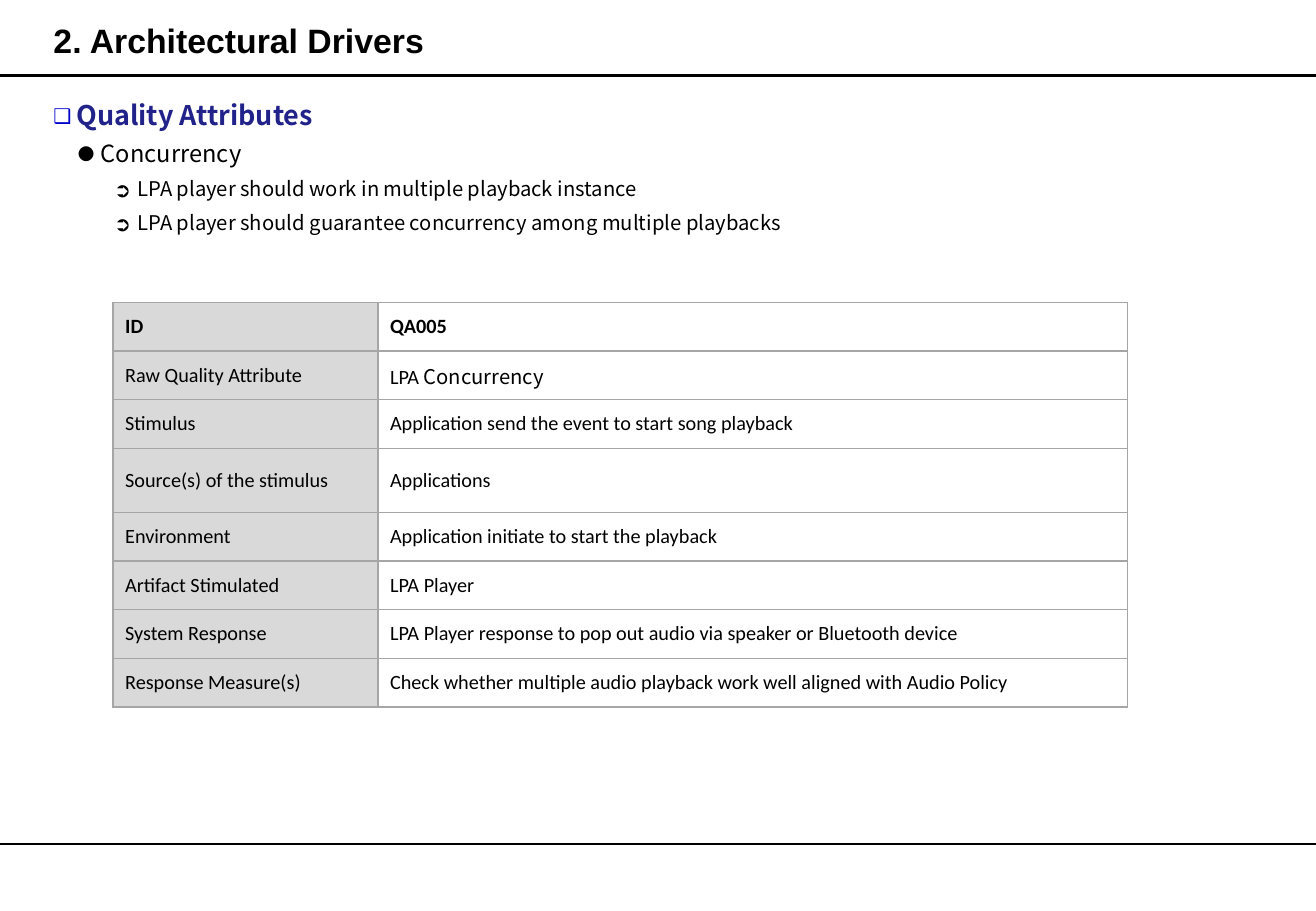
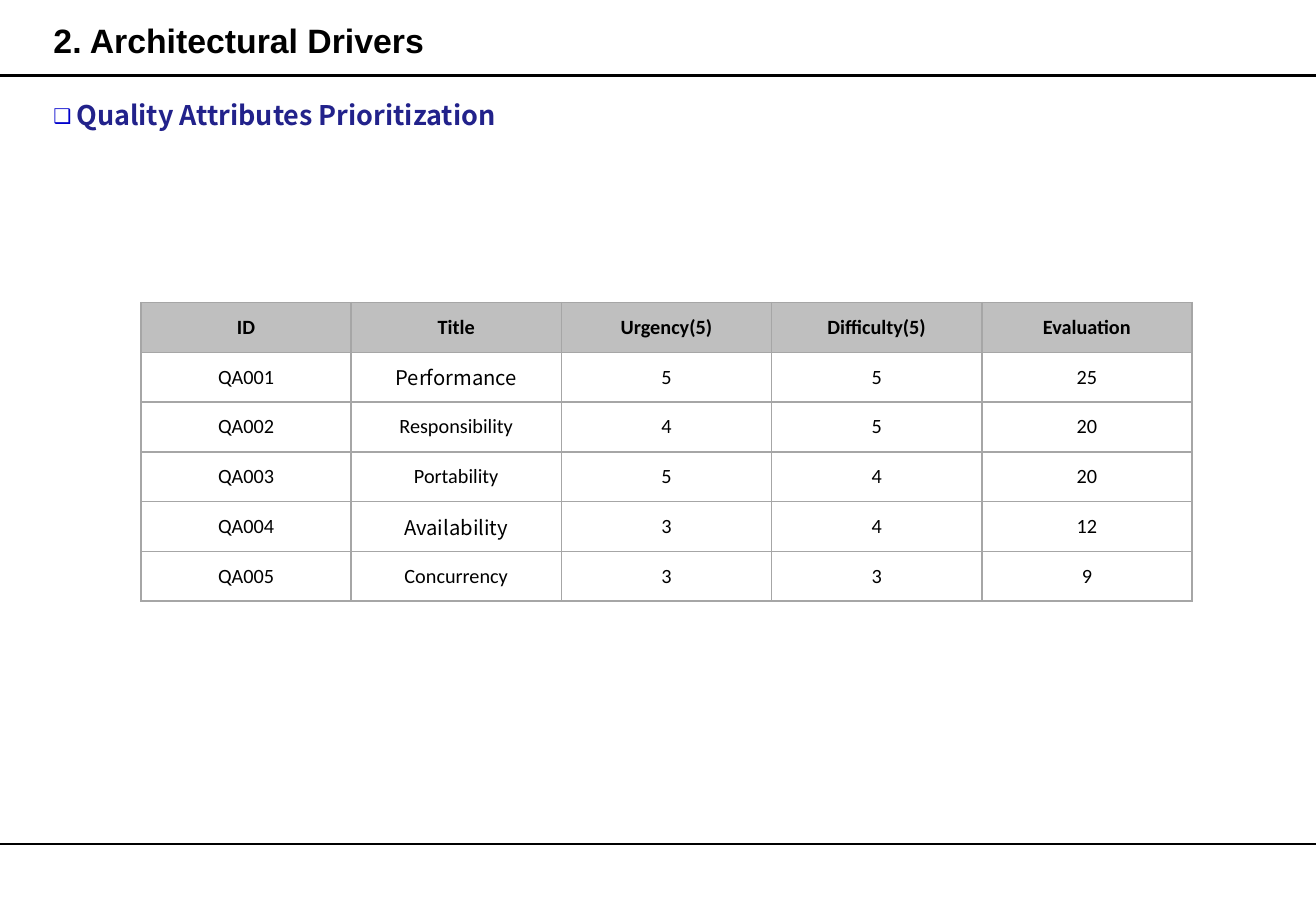
from dataclasses import dataclass

from lxml.etree import SubElement
from pptx import Presentation
from pptx.dml.color import RGBColor
from pptx.enum.shapes import MSO_CONNECTOR
from pptx.enum.text import MSO_ANCHOR, MSO_AUTO_SIZE, PP_ALIGN
from pptx.oxml.ns import qn
from pptx.util import Inches, Pt


@dataclass(frozen=True)
class Level:
    size: float
    bold: bool
    color: str
    indent: float
    spacing: float
    before: float
    bullet: str
    bullet_color: str
    bullet_percent: int


@dataclass(frozen=True)
class Theme:
    black: str = "000000"
    border: str = "A6A6A6"
    label_fill: str = "D9D9D9"
    header_fill: str = "BFBFBF"
    title_font: str = "Arial"
    list_font: str = "Noto Sans CJK KR"
    table_font: str = "Calibri"
    title_size: float = 20
    table_size: float = 12
    hanging: float = 0.19
    levels: tuple = (
        Level(16, True, "22228B", 0.19, 1.3, 6, "❑", "0000CC", 75),
        Level(14, False, "000000", 0.39, 1.1, 3, "●", "000000", 70),
        Level(12, False, "000000", 0.69, 1.25, 2, "➲", "000000", 100),
    )


def apply(target, values):
    for name, value in values.items():
        setattr(target, name, value)


def add_child(parent, tag, **attributes):
    return SubElement(parent, qn(tag), attributes)


class SlideBuilder:
    def __init__(self, deck, theme):
        self.deck = deck
        self.theme = theme
        self.page = None

    def start(self, title):
        self.page = self.deck.slides.add_slide(self.deck.slide_layouts[1])
        self.rule(6.95, 1)
        self.rule(0.62, 1.5)
        self.title(title)

    def rule(self, top, weight):
        line = self.page.shapes.add_connector(
            MSO_CONNECTOR.STRAIGHT, 0, Inches(top), self.deck.slide_width, Inches(top))
        line.line.color.rgb = RGBColor.from_string(self.theme.black)
        line.line.width = Pt(weight)
        add_child(line._element.spPr, "a:effectLst")

    def place(self, box, left, top, width, height):
        apply(box, {"left": Inches(left), "top": Inches(top),
                    "width": Inches(width), "height": Inches(height)})

    def span(self, para, text, font, size, bold=False, color=None):
        span = para.add_run()
        span.text = text
        apply(span.font, {"name": font, "size": Pt(size), "bold": bold})
        span.font.color.rgb = RGBColor.from_string(color or self.theme.black)
        add_child(span._r.get_or_add_rPr(), "a:ea", typeface=font)

    def title(self, text):
        box = self.page.shapes.title
        self.place(box, 0.34, 0.08, 4.21, 0.5)
        apply(box.text_frame, {"vertical_anchor": MSO_ANCHOR.MIDDLE, "word_wrap": True,
                               "auto_size": MSO_AUTO_SIZE.NONE})
        para = box.text_frame.paragraphs[0]
        para.alignment = PP_ALIGN.LEFT
        self.span(para, text, self.theme.title_font, self.theme.title_size, True)

    def bullets(self, height, items):
        box = self.page.placeholders[1]
        self.place(box, 0.34, 0.68, 10.23, height)
        frame = box.text_frame
        apply(frame, {"word_wrap": True, "auto_size": MSO_AUTO_SIZE.SHAPE_TO_FIT_TEXT})
        for index, (depth, text) in enumerate(items):
            level = self.theme.levels[depth]
            para = frame.add_paragraph() if index else frame.paragraphs[0]
            apply(para, {"level": depth, "alignment": PP_ALIGN.LEFT,
                         "line_spacing": level.spacing,
                         "space_before": Pt(level.before), "space_after": Pt(0)})
            self.bullet(para, level)
            self.span(para, text, self.theme.list_font, level.size, level.bold, level.color)

    def bullet(self, para, level):
        properties = para._p.get_or_add_pPr()
        properties.set("marL", str(Inches(level.indent)))
        properties.set("indent", str(-Inches(self.theme.hanging)))
        color = add_child(properties, "a:buClr")
        add_child(color, "a:srgbClr", val=level.bullet_color)
        add_child(properties, "a:buSzPct", val=str(level.bullet_percent * 1000))
        add_child(properties, "a:buFont", typeface=self.theme.list_font)
        add_child(properties, "a:buChar", char=level.bullet)

    def table(self, left, top, widths, heights, rows, fill_for, alignment):
        table = self.page.shapes.add_table(
            len(heights), len(widths), Inches(left), Inches(top),
            Inches(sum(widths)), Inches(sum(heights))).table
        apply(table, {"first_row": False, "horz_banding": False})
        for column, width in zip(table.columns, widths):
            column.width = Inches(width)
        for row, height in zip(table.rows, heights):
            row.height = Inches(height)
        for r, values in enumerate(rows):
            for c, value in enumerate(values):
                self.cell(table.cell(r, c), value, fill_for(r, c), r == 0, alignment)

    def cell(self, cell, value, fill, bold, alignment):
        cell.vertical_anchor = MSO_ANCHOR.MIDDLE
        properties = cell._tc.get_or_add_tcPr()
        for side in ("a:lnL", "a:lnR", "a:lnT", "a:lnB"):
            border = add_child(properties, side, w=str(Pt(1)))
            add_child(add_child(border, "a:solidFill"), "a:srgbClr", val=self.theme.border)
        if fill:
            cell.fill.solid()
            cell.fill.fore_color.rgb = RGBColor.from_string(fill)
        else:
            cell.fill.background()
        para = cell.text_frame.paragraphs[0]
        para.alignment = alignment
        spans = [(value, self.theme.table_font)] if isinstance(value, str) else value
        for text, font in spans:
            self.span(para, text, font, self.theme.table_size, bold)


def main():
    deck = Presentation()
    apply(deck, {"slide_width": Inches(10.83), "slide_height": Inches(7.5)})
    theme = Theme()
    builder = SlideBuilder(deck, theme)
    heading = "2. Architectural Drivers"

    builder.start(heading)
    builder.bullets(1.31, [
        (0, "Quality Attributes"),
        (1, "Concurrency"),
        (2, "LPA player should work in multiple playback instance"),
        (2, "LPA player should guarantee concurrency among multiple playbacks"),
    ])
    scenario = [
        ("ID", "QA005"),
        ("Raw Quality Attribute",
         [("LPA ", theme.table_font), ("Concurrency", theme.list_font)]),
        ("Stimulus", "Application send the event to start song playback"),
        ("Source(s) of the stimulus", "Applications"),
        ("Environment", "Application initiate to start the playback"),
        ("Artifact Stimulated", "LPA Player"),
        ("System Response",
         "LPA Player response to pop out audio via speaker or Bluetooth device"),
        ("Response Measure(s)",
         "Check whether multiple audio playback work well aligned with Audio Policy"),
    ]
    builder.table(0.93, 2.49, [2.18, 6.17], [0.4] * 3 + [0.53] + [0.4] * 4, scenario,
                  lambda r, c: theme.label_fill if c == 0 else None, PP_ALIGN.LEFT)

    builder.start(heading)
    builder.bullets(1.15, [(0, "Quality Attributes Prioritization")])
    priorities = [
        ("ID", "Title", "Urgency(5)", "Difficulty(5)", "Evaluation"),
        ("QA001", [("Performance", theme.list_font)], "5", "5", "25"),
        ("QA002", "Responsibility", "4", "5", "20"),
        ("QA003", "Portability", "5", "4", "20"),
        ("QA004", [("Availability", theme.list_font)], "3", "4", "12"),
        ("QA005", "Concurrency", "3", "3", "9"),
    ]
    builder.table(1.16, 2.49, [1.73] * 5, [0.41] * 6, priorities,
                  lambda r, c: theme.header_fill if r == 0 else None, PP_ALIGN.CENTER)

    deck.save("out.pptx")


if __name__ == "__main__":
    main()
